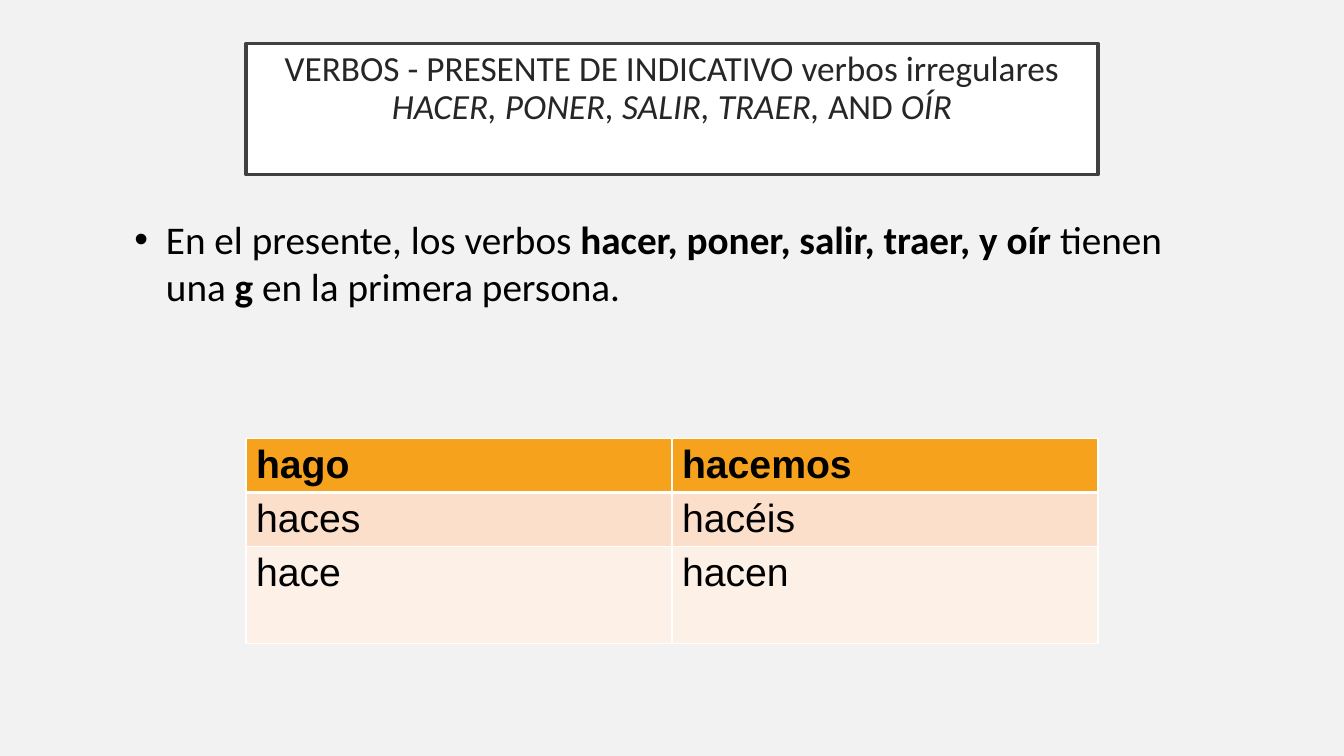
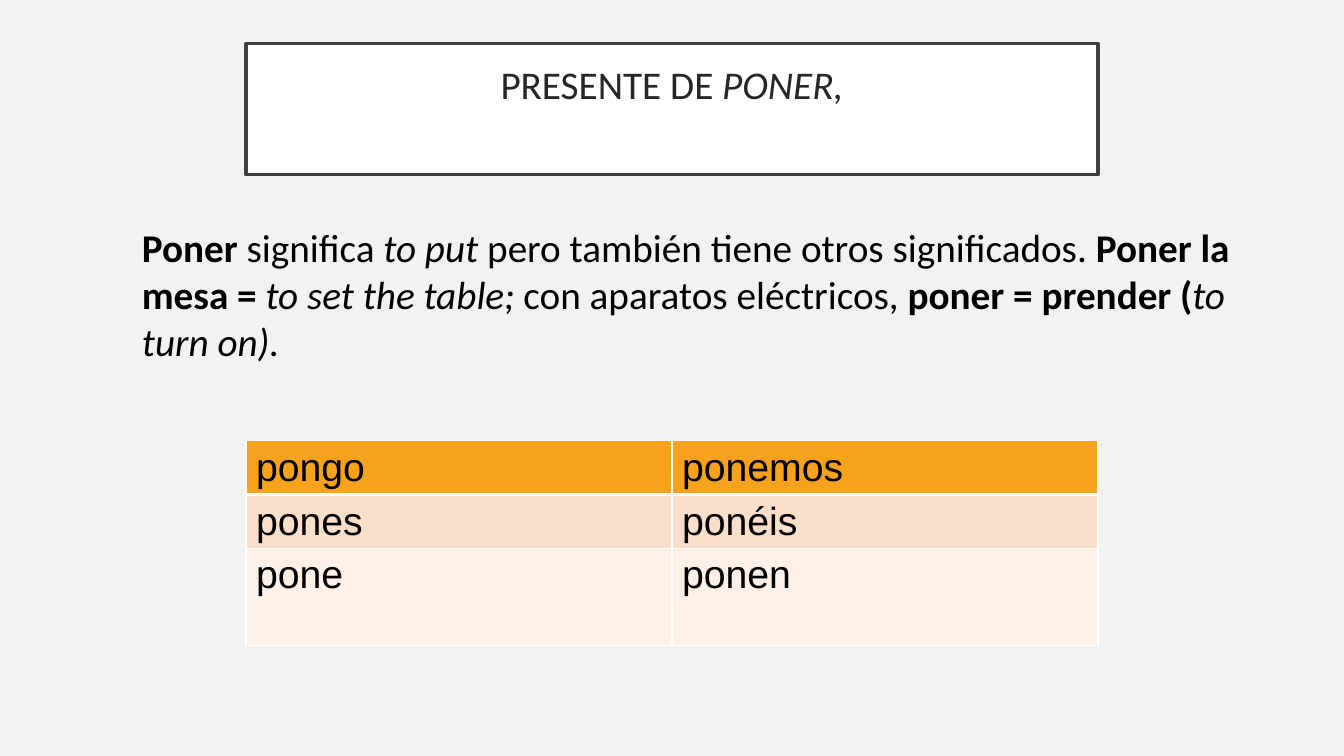
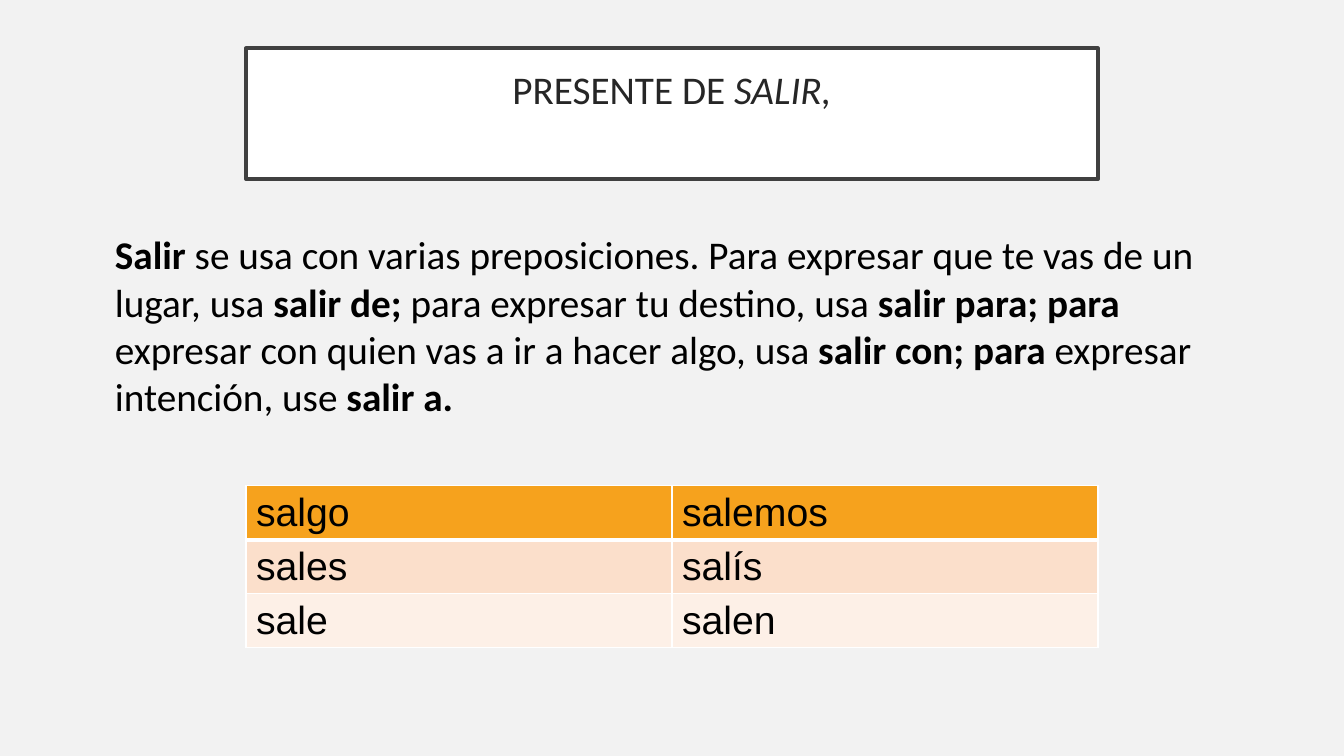
"""Build three slides on irregular Spanish verbs in the present tense."""
import lxml.etree
import pptx
import pptx.dml.color
import pptx.enum.text
import pptx.oxml.ns
import pptx.util

Pt = pptx.util.Pt
qn = pptx.oxml.ns.qn


def color(value):
    """Return the colour for a hex string."""
    return pptx.dml.color.RGBColor.from_string(value)


class Deck:
    """Hold the shared style and the current slide."""

    BACKGROUND = "F2F2F2"
    WHITE = "FFFFFF"
    FRAME = "404040"
    TITLE_COLOR = "262626"
    TEXT_COLOR = "000000"
    ROW_FILLS = ("F6A21D", "FBDFCB", "FDF0E7")
    TEXT_FONT = "Calibri"
    TABLE_FONT = "Arial"
    SIZE = 28
    LEFT, WIDTH = 175.7, 608.6
    TITLE_HEIGHT = 93.6
    ROW_HEIGHT = 38.5

    def __init__(self):
        """Start a widescreen presentation with a grey master."""
        self.presentation = pptx.Presentation()
        self.presentation.slide_width = Pt(960)
        self.presentation.slide_height = Pt(540)
        fill = self.presentation.slide_master.background.fill
        fill.solid()
        fill.fore_color.rgb = color(self.BACKGROUND)
        self.slide = None

    def add_slide(self):
        """Add a title-only slide and make it current."""
        layout = self.presentation.slide_layouts[5]
        self.slide = self.presentation.slides.add_slide(layout)

    def style_run(self, run, font_name, size, rgb, style=""):
        """Format a run; style may contain b for bold and i for italic."""
        run.font.name = font_name
        run.font.size = Pt(size)
        run.font.color.rgb = color(rgb)
        run.font.bold = "b" in style
        run.font.italic = "i" in style

    def add_runs(self, paragraph, pieces, size, rgb):
        """Add (text, style) pieces to a paragraph."""
        for text, style in pieces:
            run = paragraph.add_run()
            run.text = text
            self.style_run(run, self.TEXT_FONT, size, rgb, style)

    def title(self, pieces, top=31, inset_top=16, size=SIZE):
        """Place the framed title."""
        shape = self.slide.shapes.title
        shape.left, shape.top = Pt(self.LEFT), Pt(top)
        shape.width, shape.height = Pt(self.WIDTH), Pt(self.TITLE_HEIGHT)
        shape.fill.solid()
        shape.fill.fore_color.rgb = color(self.WHITE)
        shape.line.color.rgb = color(self.FRAME)
        shape.line.width = Pt(2.5)
        frame = shape.text_frame
        frame.auto_size = pptx.enum.text.MSO_AUTO_SIZE.NONE
        frame.word_wrap = True
        frame.vertical_anchor = pptx.enum.text.MSO_ANCHOR.TOP
        frame.margin_left = frame.margin_right = Pt(14.4)
        frame.margin_top, frame.margin_bottom = Pt(inset_top), Pt(0)
        paragraph = frame.paragraphs[0]
        paragraph.alignment = pptx.enum.text.PP_ALIGN.CENTER
        paragraph.line_spacing = 0.9
        self.add_runs(paragraph, pieces, size, self.TITLE_COLOR)

    def explanation(self, pieces, left, top, width, height, bullet=False):
        """Add the explanatory paragraph."""
        box = self.slide.shapes.add_textbox(Pt(left), Pt(top), Pt(width), Pt(height))
        box.text_frame.word_wrap = True
        paragraph = box.text_frame.paragraphs[0]
        self.add_runs(paragraph, pieces, self.SIZE, self.TEXT_COLOR)
        if bullet:
            properties = paragraph._p.get_or_add_pPr()
            properties.set("marL", str(Pt(30)))
            properties.set("indent", str(-Pt(22.5)))
            lxml.etree.SubElement(properties, qn("a:buFont")).set("typeface", self.TABLE_FONT)
            lxml.etree.SubElement(properties, qn("a:buChar")).set("char", "•")

    def border(self, cell, side, width):
        """Draw one white cell border; side is L, R, T or B."""
        line = lxml.etree.SubElement(cell._tc.get_or_add_tcPr(), qn("a:ln" + side))
        line.set("w", str(Pt(width)))
        fill = lxml.etree.SubElement(line, qn("a:solidFill"))
        lxml.etree.SubElement(fill, qn("a:srgbClr")).set("val", self.WHITE)

    def conjugation(self, rows, top, last_height=ROW_HEIGHT, header_style=""):
        """Add the table of verb forms."""
        heights = [self.ROW_HEIGHT] * (len(rows) - 1) + [last_height]
        table = self.slide.shapes.add_table(
            len(rows), 2, Pt(self.LEFT), Pt(top), Pt(self.WIDTH), Pt(sum(heights))).table
        for row_index, (forms, height) in enumerate(zip(rows, heights)):
            table.rows[row_index].height = Pt(height)
            for column_index, form in enumerate(forms):
                cell = table.cell(row_index, column_index)
                for side in "LRTB":
                    under_header = (row_index, side) in ((0, "B"), (1, "T"))
                    self.border(cell, side, 3 if under_header else 1)
                cell.fill.solid()
                cell.fill.fore_color.rgb = color(self.ROW_FILLS[row_index])
                cell.text_frame.text = form
                self.style_run(cell.text_frame.paragraphs[0].runs[0], self.TABLE_FONT,
                               self.SIZE, self.TEXT_COLOR,
                               header_style if row_index == 0 else "")


def main():
    """Build and save the slides."""
    deck = Deck()

    deck.add_slide()
    deck.title([("VERBOS - PRESENTE DE INDICATIVO verbos irregulares ", ""),
                ("HACER, PONER, SALIR, TRAER, ", "i"), ("AND ", ""), ("OÍR", "i")],
               inset_top=5.2, size=25.2)
    deck.conjugation([("hago", "hacemos"), ("haces", "hacéis"), ("hace", "hacen")],
                     top=313.2, last_height=69.2, header_style="b")
    deck.explanation([("En el presente, los verbos ", ""),
                      ("hacer, poner, salir, traer, y oír ", "b"),
                      ("tienen una ", ""), ("g ", "b"),
                      ("en la primera persona.", "")],
                     81.5, 150.5, 777.5, 75, bullet=True)

    deck.add_slide()
    deck.title([("PRESENTE DE ", ""), ("PONER,", "i")])
    deck.conjugation([("pongo", "ponemos"), ("pones", "ponéis"), ("pone", "ponen")],
                     top=314.8, last_height=69.2)
    deck.explanation([("Poner", "b"), (" significa ", ""), ("to put ", "i"),
                      ("pero también tiene otros significados. ", ""),
                      ("Poner la mesa = ", "b"), ("to set the table; ", "i"),
                      ("con aparatos eléctricos, ", ""),
                      ("poner = prender (", "b"), ("to turn on).", "i")],
                     94.3, 156.2, 795, 108.7)

    deck.add_slide()
    deck.title([("PRESENTE DE ", ""), ("SALIR,", "i")], top=34.4)
    deck.conjugation([("salgo", "salemos"), ("sales", "salís"), ("sale", "salen")],
                     top=347)
    deck.explanation([("Salir ", "b"),
                      ("se usa con varias preposiciones. Para expresar que te vas "
                       "de un lugar, usa ", ""),
                      ("salir de; ", "b"), ("para expresar tu destino, usa ", ""),
                      ("salir para; para", "b"),
                      (" expresar con quien vas a ir a hacer algo, usa ", ""),
                      ("salir con; para", "b"), (" expresar intención, use ", ""),
                      ("salir a.", "b")],
                     75, 161.3, 790.5, 143.3)

    deck.presentation.save("out.pptx")


if __name__ == "__main__":
    main()
